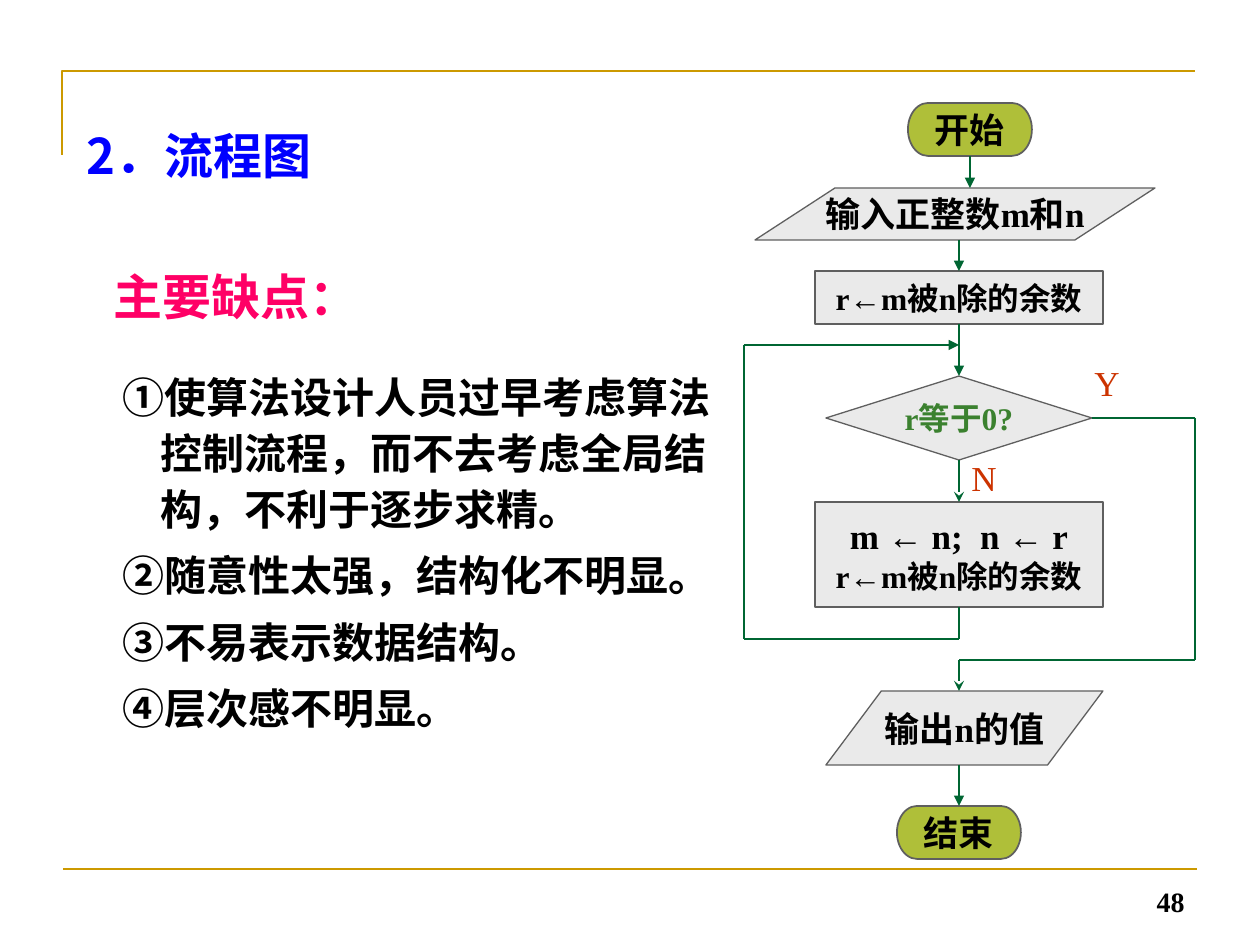
from lxml import etree
from pptx import Presentation, util as u
from pptx.dml.color import RGBColor
from pptx.enum import shapes, text
from pptx.oxml.ns import qn

PX = 914400 / 126
SANS, SERIF = "Noto Sans CJK SC", "Times New Roman"
GOLD, GREEN, GREY, EDGE, LIME = "CC9900", "006633", "EAEAEA", "5F5F5F", "AFBF39"
ink = RGBColor.from_string
kind, side = shapes.MSO_SHAPE, text.PP_ALIGN


def px(*nums):
    return [u.Emu(round(n * PX)) for n in nums]


def write(par, words, size=20, color="000000", bold=True, face=SERIF,
          align=side.LEFT):
    par.alignment = align
    run = par.add_run()
    run.text = words
    font = run.font
    font.size, font.bold, font.name = u.Pt(size), bold, face
    font.color.rgb = ink(color)
    etree.SubElement(font._element, qn("a:ea")).set("typeface", SANS)


deck = Presentation()
deck.slide_width, deck.slide_height = px(1260, 945)
slide = deck.slides.add_slide(deck.slide_layouts[1])
parts = slide.shapes

# Title and list placeholders
title, body = slide.placeholders
for holder, box in ((title, (74, 120, 500, 70)), (body, (101, 249, 652, 500))):
    holder.left, holder.top, holder.width, holder.height = px(*box)
    holder.text_frame.auto_size = text.MSO_AUTO_SIZE.NONE
write(title.text_frame.paragraphs[0], "2．流程图", size=28, color="0000FF", face=SANS)

# Drawbacks: a heading, then hanging list items
items = [
    "主要缺点：",
    "①使算法设计人员过早考虑算法控制流程，而不去考虑全局结构，不利于逐步求精。",
    "②随意性太强，结构化不明显。",
    "③不易表示数据结构。",
    "④层次感不明显。",
]
frame = body.text_frame
for i, item in enumerate(items):
    par = frame.paragraphs[0] if i == 0 else frame.add_paragraph()
    left, hang = px(47, -38) if i else px(0, 0)
    props = par._p.get_or_add_pPr()
    props.set("marL", str(left))
    props.set("indent", str(hang))
    etree.SubElement(props, qn("a:buNone"))
    par.line_spacing = u.Pt(32 if i else 40)
    par.space_before = u.Pt((0, 23, 6, 6, 6)[i])
    write(par, item, size=24 if i else 28, color="000000" if i else "FF0066", face=SANS)

# Corner rule at the top left
pen = parts.build_freeform(62, 155, scale=PX)
pen.add_line_segments([(62, 71), (1195, 71)], close=False)
corner = pen.convert_to_shape()
corner.shadow.inherit = False
corner.fill.background()
corner.line.color.rgb = ink(GOLD)
corner.line.width = u.Pt(1.5)

# Flowchart nodes: shape, box, fill, line width, then lines of (text, size, colour)
nodes = {
    "start": (kind.FLOWCHART_TERMINATOR, (908, 103, 124, 53), LIME, 1,
              [("开始", 20, "000000")]),
    "input": (kind.FLOWCHART_DATA, (755, 188, 400, 52), GREY, 0.75,
              [("输入正整数m和n", 20, "000000")]),
    "mod": (kind.FLOWCHART_PROCESS, (815, 271, 288, 53), GREY, 0.75,
            [("r←m被n除的余数", 18, "000000")]),
    "test": (kind.FLOWCHART_DECISION, (826, 376, 266, 84), GREY, 0.75,
             [("r等于0?", 18, "3B812F")]),
    "swap": (kind.FLOWCHART_PROCESS, (815, 502, 288, 105), GREY, 0.75,
             [("m ← n;  n ← r", 20, "000000"), ("r←m被n除的余数", 18, "000000")]),
    "output": (kind.FLOWCHART_DATA, (826, 691, 277, 74), GREY, 0.75,
               [("输出n的值", 20, "000000")]),
    "end": (kind.FLOWCHART_TERMINATOR, (897, 806, 124, 53), LIME, 1,
            [("结束", 20, "000000")]),
}
made = {}
for name, (form, box, fill, width, rows) in nodes.items():
    node = made[name] = parts.add_shape(form, *px(*box))
    node.shadow.inherit = False
    node.fill.solid()
    node.fill.fore_color.rgb = ink(fill)
    node.line.color.rgb = ink(EDGE)
    node.line.width = u.Pt(width)
    frame = node.text_frame
    frame.word_wrap = False
    frame.vertical_anchor = text.MSO_ANCHOR.MIDDLE
    for i, (words, size, color) in enumerate(rows):
        par = frame.paragraphs[0] if i == 0 else frame.add_paragraph()
        write(par, words, size=size, color=color, align=side.CENTER)

# Lines: ends, arrowhead, joined node and side at each end, colour, width
flow, rule = (GREEN, 0.75), (GOLD, 1.5)
links = [
    ((63, 869, 1197, 869), None, None, None, rule),
    ((970, 156, 970, 188), "triangle", ("start", 2), None, flow),
    ((959, 240, 959, 271), "triangle", None, ("mod", 0), flow),
    ((959, 324, 959, 376), "triangle", ("mod", 2), ("test", 0), flow),
    ((959, 460, 959, 502), "stealth", ("test", 2), ("swap", 0), flow),
    # loop back
    ((959, 607, 959, 639), None, ("swap", 2), None, flow),
    ((959, 639, 744, 639), None, None, None, flow),
    ((744, 639, 744, 345), None, None, None, flow),
    ((744, 345, 959, 345), "triangle", None, None, flow),
    # way out
    ((1092, 418, 1195, 418), None, ("test", 3), None, flow),
    ((1195, 418, 1195, 660), None, None, None, flow),
    ((1195, 660, 959, 660), None, None, None, flow),
    ((959, 660, 959, 691), "stealth", None, None, flow),
    ((959, 765, 959, 806), "triangle", None, ("end", 0), flow),
]
for ends, head, first, last, (color, width) in links:
    link = parts.add_connector(shapes.MSO_CONNECTOR.STRAIGHT, *px(*ends))
    link.line.color.rgb = ink(color)
    link.line.width = u.Pt(width)
    if head:
        etree.SubElement(link.line._get_or_add_ln(), qn("a:tailEnd")).set("type", head)
    etree.SubElement(link._element.spPr, qn("a:effectLst"))
    if first:
        link.begin_connect(made[first[0]], first[1])
    if last:
        link.end_connect(made[last[0]], last[1])

# Branch labels and page number
red = dict(color="CC3300", bold=False)
labels = [
    ("N", (959, 450, 72, 55), text.MSO_ANCHOR.TOP, red),
    ("Y", (1082, 355, 62, 55), text.MSO_ANCHOR.TOP, red),
    ("48", (903, 861, 294, 63), text.MSO_ANCHOR.BOTTOM, dict(size=16, align=side.RIGHT)),
]
for words, box, anchor, form in labels:
    frame = parts.add_textbox(*px(*box)).text_frame
    frame.word_wrap = True
    frame.vertical_anchor = anchor
    write(frame.paragraphs[0], words, **form)

deck.save("out.pptx")
